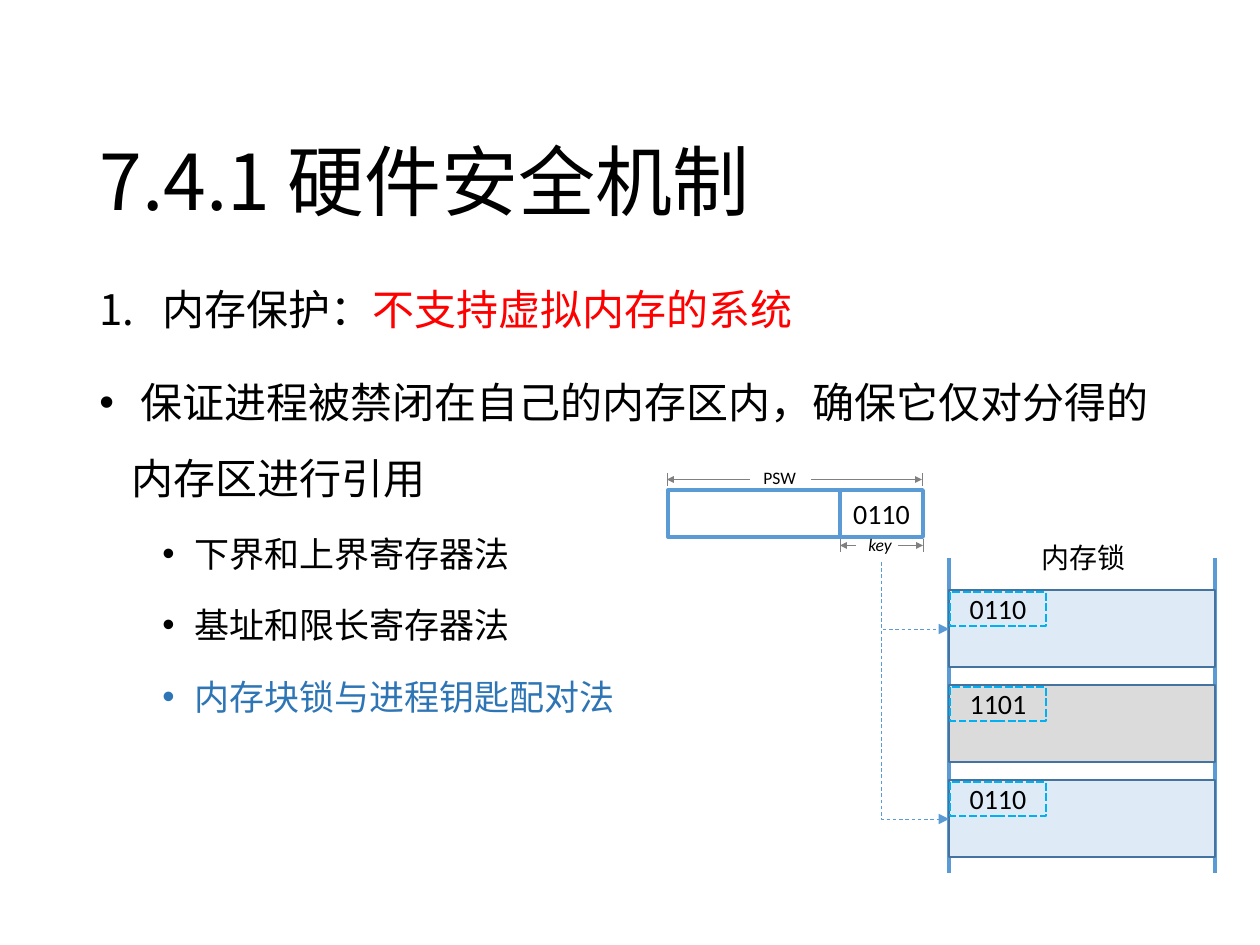
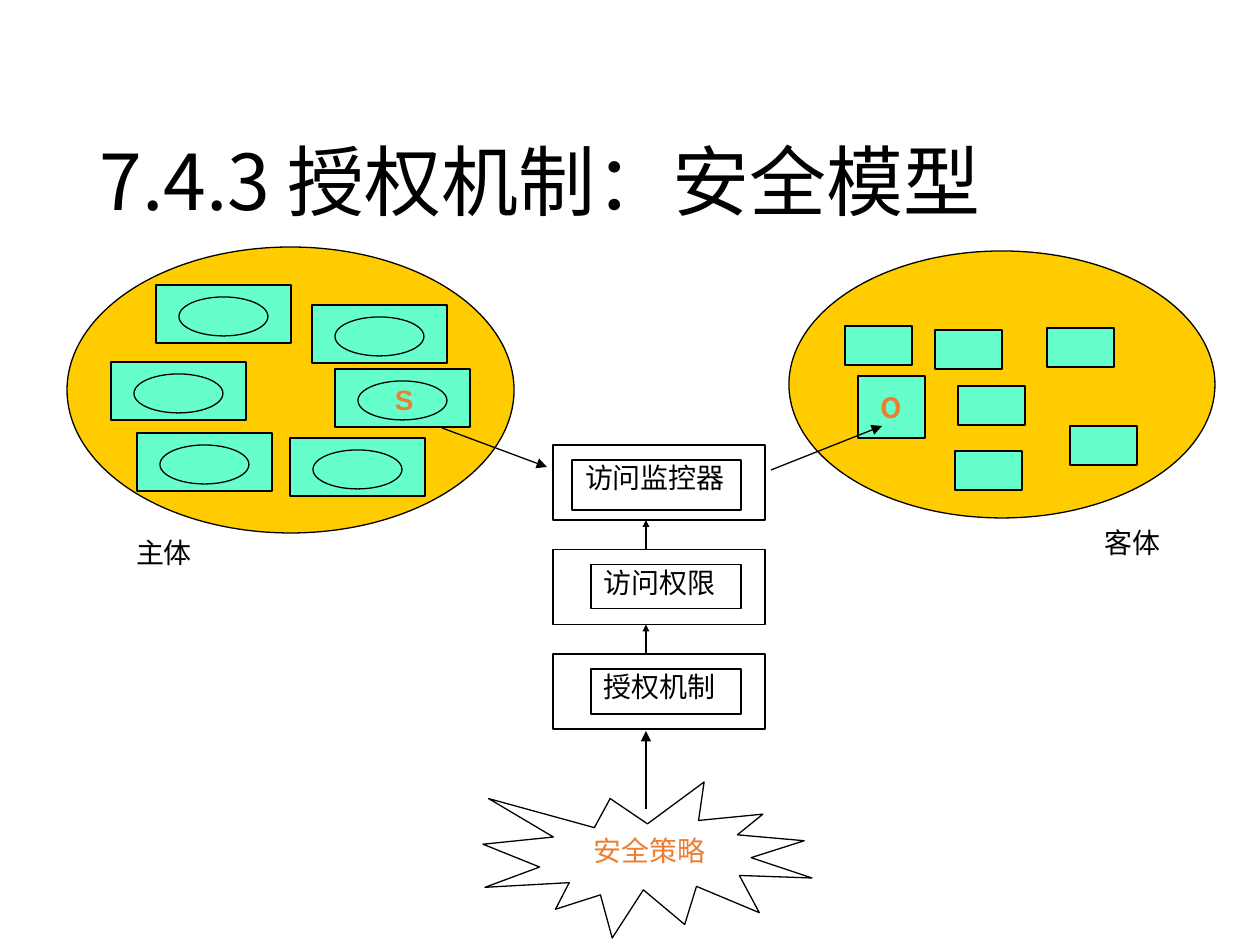
from lxml import etree
from pptx import Presentation
from pptx.dml.color import RGBColor
from pptx.enum.dml import MSO_LINE as Dash
from pptx.enum.shapes import MSO_CONNECTOR as Link, MSO_SHAPE as Shape
from pptx.enum.text import MSO_ANCHOR as Anchor, PP_ALIGN as Align
from pptx.oxml.ns import qn
from pptx.util import Emu, Pt

EMU_PER_PX = 914400 / 126
COLORS = {
    "black": "000000", "white": "FFFFFF", "red": "FF0000", "link": "2E75B6",
    "blue": "5B9BD5", "edge": "43739E", "pale": "DEEBF7", "silver": "DBDBDB",
    "cyan": "00B0F0", "gray": "808080", "orange": "ED7D31", "gold": "FFCC00",
    "mint": "66FFCC",
}
SANS, SANS_JP, LATIN = "Noto Sans CJK SC", "Noto Sans CJK JP", "Calibri"


def px(value):
    return Emu(round(value * EMU_PER_PX))


def rgb(name):
    return RGBColor.from_string(COLORS[name])


def add_span(para, text, size=16, color="black", font=SANS, bold=False, italic=False):
    span = para.add_run()
    span.text = text
    span.font.size = Pt(size)
    span.font.bold, span.font.italic = bold, italic
    span.font.color.rgb = rgb(color)
    span.font.name = font
    latin = span.font._element.find(qn("a:latin"))
    east_asian = etree.Element(qn("a:ea"), typeface=font)
    latin.addnext(east_asian)


def write(shape, text, align=Align.LEFT, anchor=Anchor.TOP, insets=None,
          indent=0, spacing=None, wrap=True, **span_format):
    """Put one paragraph in a shape; insets are (horizontal, vertical) px."""
    frame = shape.text_frame
    frame.word_wrap = wrap
    frame.vertical_anchor = anchor
    if insets:
        frame.margin_left = frame.margin_right = px(insets[0])
        frame.margin_top = frame.margin_bottom = px(insets[1])
    para = frame.paragraphs[0]
    para.alignment = align
    if spacing:
        para.line_spacing = spacing
    if indent:
        para._p.get_or_add_pPr().set("indent", str(px(indent)))
    add_span(para, text, **span_format)


def add_label(page, box, text, **text_format):
    write(page.shapes.add_textbox(*map(px, box)), text, **text_format)


def add_figure(page, kind, box, fill=None, line="black", width=0.75, dash=None):
    shape = page.shapes.add_shape(kind, *map(px, box))
    shape.shadow.inherit = False
    if fill:
        shape.fill.solid()
        shape.fill.fore_color.rgb = rgb(fill)
    else:
        shape.fill.background()
    shape.line.color.rgb = rgb(line)
    shape.line.width = Pt(width)
    if dash:
        shape.line.dash_style = dash
    return shape


def add_line(page, start, end, color="black", width=0.75, head=None, dash=None,
             kind=Link.STRAIGHT):
    """Draw a connector; head is the size of its arrowhead (sm, med or lg)."""
    link = page.shapes.add_connector(kind, *map(px, (*start, *end)))
    link.line.color.rgb = rgb(color)
    link.line.width = Pt(width)
    if dash:
        link.line.dash_style = dash
    if head:
        etree.SubElement(link.line._get_or_add_ln(), qn("a:tailEnd"),
                         type="triangle", w=head, len=head)
    etree.SubElement(link._element.spPr, qn("a:effectLst"))
    return link


def add_corner_arrow(page, start, end):
    """Go down from start, then right to end."""
    (x, y), (end_x, end_y) = start, end
    run, drop = end_x - x, end_y - y
    left, top = x + (run - drop) / 2, y + (drop - run) / 2
    link = add_line(page, (left + drop, top), (left, top + run), "blue", 0.5,
                    "med", Dash.DASH, Link.ELBOW)
    properties = link._element.spPr
    properties.find(qn("a:xfrm")).set("rot", str(270 * 60000))
    properties.find(qn("a:prstGeom")).set("prst", "bentConnector2")


def add_page(deck, title):
    page = deck.slides.add_slide(deck.slide_layouts[6])
    add_label(page, (87, 50, 1086, 183), title, anchor=Anchor.BOTTOM,
              spacing=0.9, size=44)
    return page


def add_bullet(para, margin, hanging, numbered=False):
    properties = para._p.get_or_add_pPr()
    properties.set("marL", str(px(margin)))
    properties.set("indent", str(-px(hanging)))
    if numbered:
        etree.SubElement(properties, qn("a:buFont"), typeface=SANS)
        etree.SubElement(properties, qn("a:buAutoNum"), type="arabicPeriod")
    else:
        etree.SubElement(properties, qn("a:buFont"), typeface="Arial")
        etree.SubElement(properties, qn("a:buChar"), char="•")


def add_protection_list(page, box):
    items = [
        ([("内存保护：", "black"), ("不支持虚拟内存的系统", "red")], 24, 63, 63),
        ([(" 保证进程被禁闭在自己的内存区内，确保它仅对分得的内存区进行引用", "black")],
         24, 32, 32),
        ([("下界和上界寄存器法", "black")], 20, 95, 32),
        ([("基址和限长寄存器法", "black")], 20, 95, 32),
        ([("内存块锁与进程钥匙配对法", "link")], 20, 95, 32),
    ]
    frame = page.shapes.add_textbox(*map(px, box)).text_frame
    frame.word_wrap = True
    for index, (spans, size, margin, hanging) in enumerate(items):
        para = frame.add_paragraph() if index else frame.paragraphs[0]
        para.line_spacing = 1.5
        if index:
            para.space_before = Pt(10 if size == 24 else 5)
        add_bullet(para, margin, hanging, numbered=index == 0)
        for text, color in spans:
            add_span(para, text, size, color)


def add_dimension(page, box, text, gap, label_box, italic=False):
    """Mark a width with end ticks and two arrows, broken by a label."""
    left, top, width, height = box
    right, middle = left + width, top + height / 2
    for x in (left, right):
        add_line(page, (x, top), (x, top + height), "gray", 0.5)
    for inner, outer in ((gap[0], left), (gap[1], right)):
        add_line(page, (left + inner, middle), (outer, middle), "gray", 0.5, "sm")
    add_label(page, label_box, text, wrap=False, size=10, font=LATIN, italic=italic)


def add_status_word(page, box):
    left, top, width, height = box
    key_width = 83
    key_left = left + width - key_width
    add_figure(page, Shape.RECTANGLE, (left, top, width - key_width, height),
               "white", "blue", 2.25)
    key = add_figure(page, Shape.RECTANGLE, (key_left, top, key_width, height),
                     "white", "blue", 2.25)
    write(key, "0110", align=Align.CENTER, anchor=Anchor.MIDDLE, font=LATIN)
    add_dimension(page, (left - 1, top - 17, width, 13), "PSW", (83, 144),
                  (left + 83, top - 29, 58, 34))
    add_dimension(page, (key_left, top + 49, key_width, 13), "key", (16, 58),
                  (key_left + 16, top + 38, 50, 34), italic=True)


def add_memory(page, box, key_point):
    left, top, width, height = box
    for x in (left, left + width):
        add_line(page, (x, top), (x, top + height), "blue", 2.25)
    blocks = [("0110", "pale"), ("1101", "silver"), ("0110", "pale")]
    for index, (lock, fill) in enumerate(blocks):
        block_top = top + 32 + 95 * index
        add_figure(page, Shape.RECTANGLE, (left, block_top, width, 77), fill, "edge", 1)
        tag = add_figure(page, Shape.RECTANGLE, (left + 1, block_top + 2, 96, 34),
                         line="cyan", width=1.5, dash=Dash.SQUARE_DOT)
        write(tag, lock, align=Align.CENTER, insets=(0, 0), font=LATIN)
        if lock == "0110":
            add_corner_arrow(page, key_point, (left, block_top + 39))
    add_label(page, (left + 80, top - 24, 111, 47), "内存锁", wrap=False)


def add_subjects(page, box):
    left, top, width, height = box
    add_label(page, (left + 69, top + height - 3, 71, 54), "主体", insets=(0, 6))
    add_figure(page, Shape.OVAL, box, "gold")
    processes = [(268, 122), (245, 58), (89, 38), (44, 115), (223, 191), (70, 186)]
    for x, y in processes:
        add_figure(page, Shape.RECTANGLE, (left + x, top + y, 135, 58), "mint")
        add_figure(page, Shape.OVAL, (left + x + 23, top + y + 12, 89, 39), "mint")
    add_label(page, (left + 305, top + 130, 52, 30), "S", insets=(0, 6), indent=23,
              font="Arial", bold=True, color="orange")


def add_objects(page, box):
    left, top, width, height = box
    add_label(page, (left + 316, top + height + 2, 71, 48), "客体", insets=(0, 6))
    add_figure(page, Shape.OVAL, box, "gold")
    items = [(146, 79), (258, 77), (56, 75), (166, 200), (281, 175), (169, 135)]
    for x, y in items:
        add_figure(page, Shape.RECTANGLE, (left + x, top + y, 67, 39), "mint")
    target = add_figure(page, Shape.RECTANGLE, (left + 69, top + 125, 67, 62), "mint")
    write(target, "O", align=Align.CENTER, anchor=Anchor.MIDDLE, insets=(13, 0),
          font=SANS_JP, bold=True, color="orange")


def add_control_stack(page, box):
    left, top, width, height = box
    layer_height = 75
    pitch = (height - layer_height) / 2
    arrow_x = left + 93
    layers = [("访问监控器", 19, 50), ("访问权限", 38, 44), ("授权机制", 38, 45)]
    for index, (text, inset, inner_height) in enumerate(layers):
        y = top + pitch * index
        add_figure(page, Shape.RECTANGLE, (left, y, width, layer_height))
        inner = add_figure(page, Shape.RECTANGLE,
                           (left + inset, y + 15, 188 - inset, inner_height))
        write(inner, text, insets=(13, 1))
        if index:
            add_line(page, (arrow_x, y), (arrow_x, y - pitch + layer_height), head="sm")
    bottom = top + height
    add_line(page, (arrow_x, bottom + 80), (arrow_x, bottom + 2), head="med")


def add_policy(page, box):
    policy = add_figure(page, Shape.EXPLOSION1, box)
    write(policy, "安全策略", align=Align.JUSTIFY, indent=28, font=SANS_JP, color="orange")


def build_hardware_page(deck):
    page = add_page(deck, "7.4.1 硬件安全机制")
    add_protection_list(page, (87, 252, 1086, 600))
    add_status_word(page, (668, 490, 255, 47))
    add_memory(page, (949, 558, 266, 315), key_point=(881, 562))


def build_model_page(deck):
    page = add_page(deck, "7.4.3 授权机制：安全模型")
    add_policy(page, (483, 782, 329, 156))
    add_control_stack(page, (553, 445, 212, 284))
    add_objects(page, (789, 251, 426, 267))
    add_subjects(page, (67, 247, 447, 286))
    add_line(page, (442, 428), (547, 467), head="med")
    add_line(page, (771, 470), (882, 426), head="med")


def main():
    deck = Presentation()
    deck.slide_width, deck.slide_height = px(1260), px(945)
    build_hardware_page(deck)
    build_model_page(deck)
    deck.save("out.pptx")


if __name__ == "__main__":
    main()
